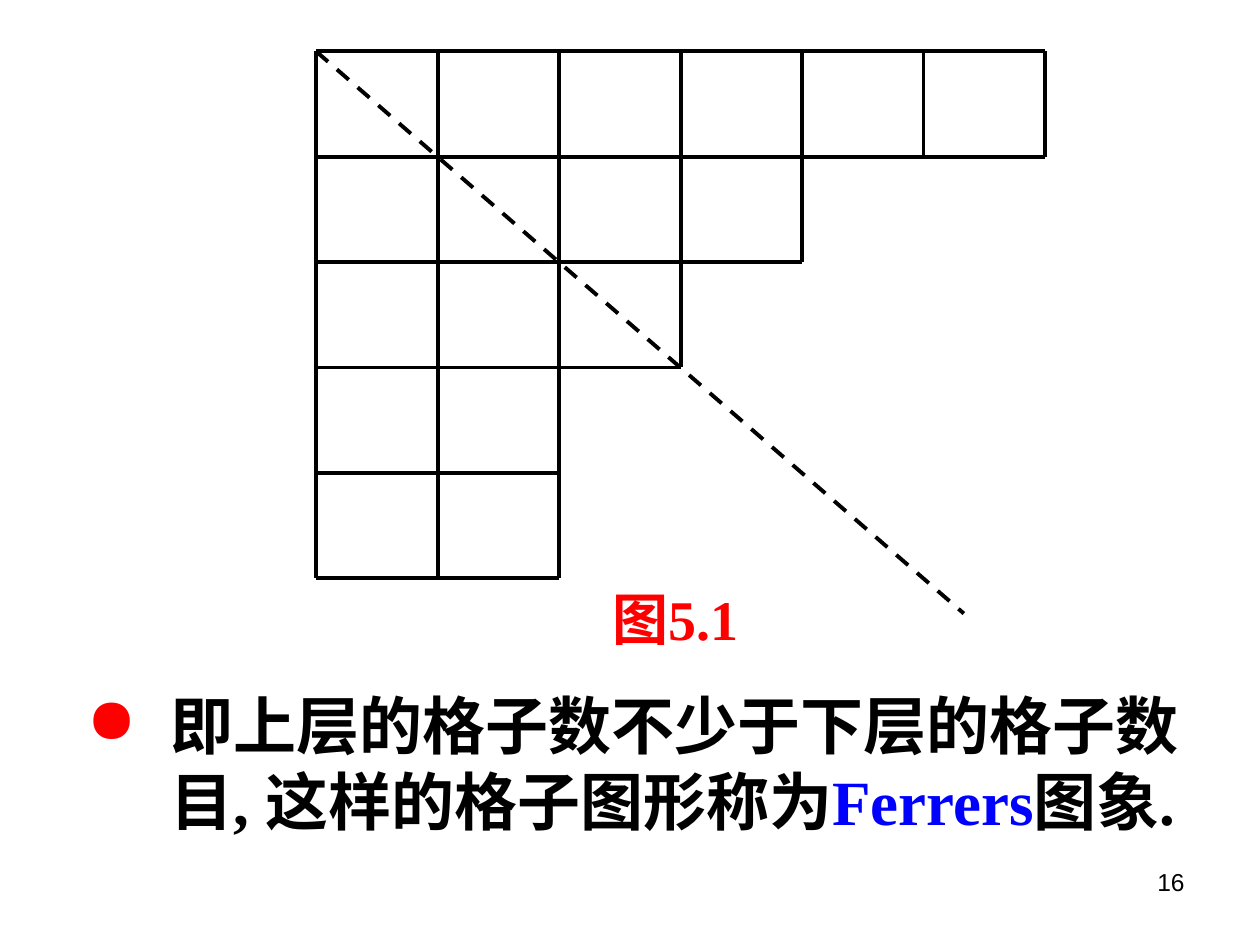
from dataclasses import dataclass

from lxml import etree
from pptx import Presentation
from pptx.dml.color import RGBColor
from pptx.enum.dml import MSO_LINE
from pptx.enum.shapes import MSO_CONNECTOR
from pptx.enum.text import PP_ALIGN
from pptx.oxml.ns import qn
from pptx.slide import Slide
from pptx.text.text import _Paragraph
from pptx.util import Pt

STRAIGHT = MSO_CONNECTOR.STRAIGHT
DASH = MSO_LINE.DASH
LEFT, RIGHT, JUSTIFY = PP_ALIGN.LEFT, PP_ALIGN.RIGHT, PP_ALIGN.JUSTIFY
BLACK, RED, BLUE = "000000", "FF0000", "0000FF"
SERIF, SANS = "Times New Roman", "Arial"

ROW_LENGTHS = (6, 4, 3, 2, 2)
GRID_LEFT, GRID_TOP = 180.7, 29.4
CELL_WIDTH, CELL_HEIGHT = 69.4, 60.2
DIAGONAL_END = (550.8, 350.6)


@dataclass(frozen=True)
class Span:
    """A stretch of text in one colour."""

    text: str
    color: str = BLACK


@dataclass(frozen=True)
class TextItem:
    """A text box, with its frame in points."""

    frame: tuple[float, float, float, float]
    spans: tuple[Span, ...]
    size: float
    font: str = SERIF
    bold: bool = True
    align: PP_ALIGN = LEFT
    bulleted: bool = False


TEXT_ITEMS = (
    TextItem((516.2, 491.8, 167.8, 37.4), (Span("16"),), 14, SANS, False, RIGHT),
    TextItem(
        (42.5, 388.8, 648, 102.2),
        (
            Span("即上层的格子数不少于下层的格子数目, 这样的格子图形称为"),
            Span("Ferrers", BLUE),
            Span("图象."),
        ),
        36,
        bulleted=True,
    ),
    TextItem((342.7, 330.5, 139, 60.5), (Span("图5.1", RED),), 32, align=JUSTIFY),
)


def rgb(color: str) -> RGBColor:
    """Turn a hex string into a colour."""
    return RGBColor.from_string(color)


def add_line(
    page: Slide,
    start: tuple[float, float],
    end: tuple[float, float],
    dash: MSO_LINE | None = None,
) -> None:
    """Draw a black line between two points."""
    points = [Pt(value) for value in (*start, *end)]
    connector = page.shapes.add_connector(STRAIGHT, *points)
    connector.line.color.rgb = rgb(BLACK)
    connector.line.width = Pt(2.25)
    if dash is not None:
        connector.line.dash_style = dash
    etree.SubElement(connector._element.spPr, qn("a:effectLst"))


def grid_point(column: int, row: int) -> tuple[float, float]:
    """Locate a corner of the cell grid."""
    return GRID_LEFT + column * CELL_WIDTH, GRID_TOP + row * CELL_HEIGHT


def draw_ferrers_diagram(page: Slide) -> None:
    """Draw the rows of cells and the dashed diagonal."""
    for row in range(len(ROW_LENGTHS) + 1):
        length = ROW_LENGTHS[max(row - 1, 0)]
        add_line(page, grid_point(0, row), grid_point(length, row))
    for column in range(ROW_LENGTHS[0] + 1):
        depth = sum(length >= column for length in ROW_LENGTHS)
        add_line(page, grid_point(column, 0), grid_point(column, depth))
    add_line(page, grid_point(0, 0), DIAGONAL_END, DASH)


def add_bullet(para: _Paragraph) -> None:
    """Give a paragraph a red bullet and a hanging indent."""
    para.space_before = Pt(7.2)
    properties = para._p.get_or_add_pPr()
    properties.set("marL", str(Pt(48)))
    properties.set("indent", str(-Pt(48)))
    bullet_color = etree.SubElement(properties, qn("a:buClr"))
    etree.SubElement(bullet_color, qn("a:srgbClr"), val=RED)
    etree.SubElement(properties, qn("a:buChar"), char="●")


def draw_text(page: Slide, item: TextItem) -> None:
    """Add a text box and format its spans."""
    box = page.shapes.add_textbox(*(Pt(value) for value in item.frame))
    box.text_frame.word_wrap = True
    para = box.text_frame.paragraphs[0]
    para.alignment = item.align
    if item.bulleted:
        add_bullet(para)
    for span in item.spans:
        run = para.add_run()
        run.text = span.text
        run.font.name = item.font
        run.font.size = Pt(item.size)
        run.font.bold = item.bold
        run.font.color.rgb = rgb(span.color)


def main() -> None:
    """Build and save the slide."""
    deck = Presentation()
    deck.slide_width, deck.slide_height = Pt(720), Pt(540)
    page = deck.slides.add_slide(deck.slide_layouts[6])
    draw_ferrers_diagram(page)
    for item in TEXT_ITEMS:
        draw_text(page, item)
    deck.save("out.pptx")


if __name__ == "__main__":
    main()
